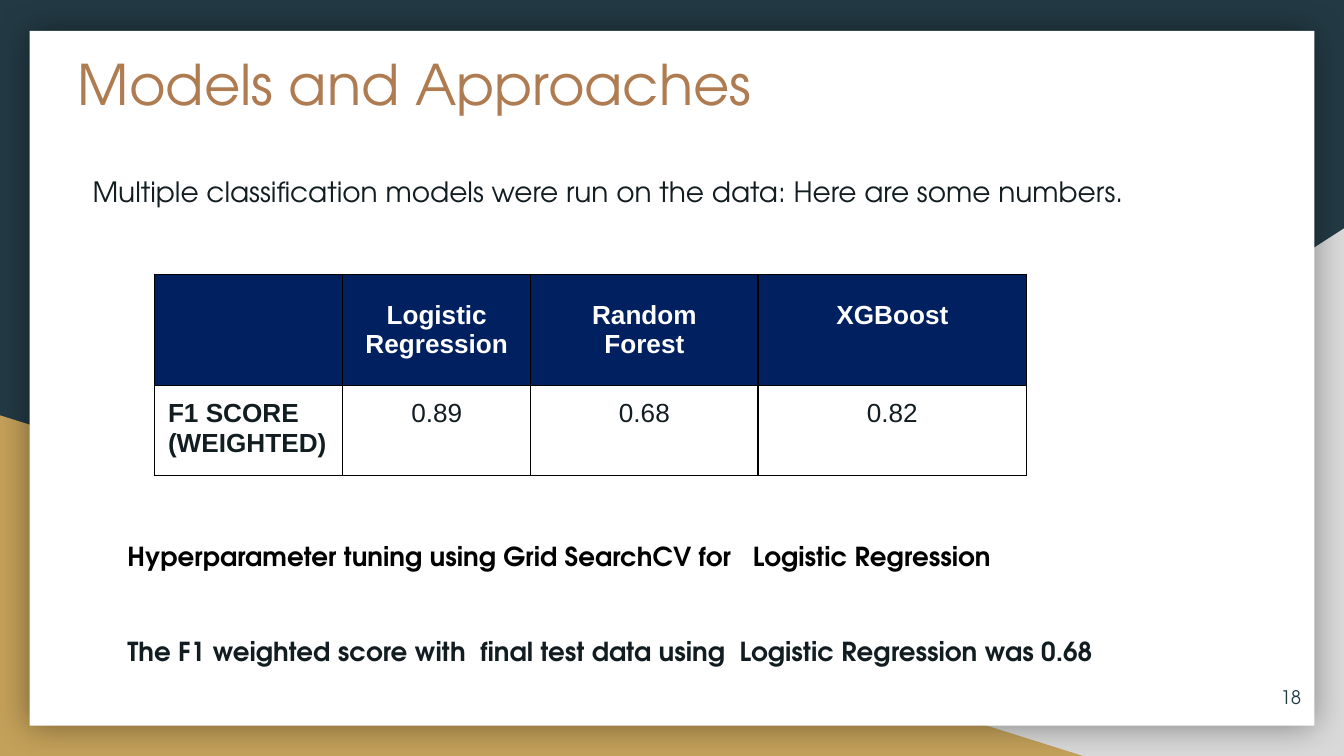
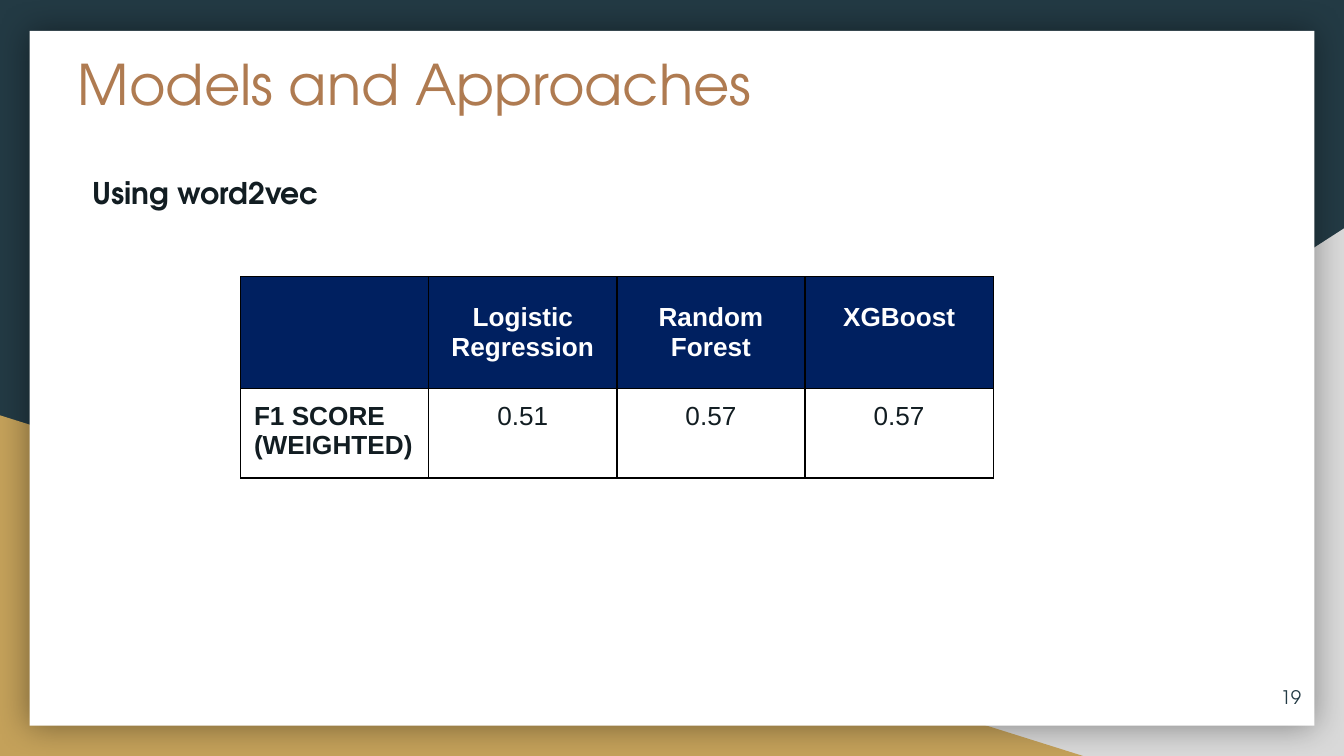
from lxml.etree import SubElement
from pptx import Presentation
from pptx.dml.color import RGBColor
from pptx.enum.shapes import MSO_SHAPE
from pptx.enum.text import MSO_ANCHOR, PP_ALIGN
from pptx.oxml.ns import qn
from pptx.util import Inches, Pt

COLORS = {
    "navy": "233A44", "grey": "D9D9D9", "gold": "C4A15A", "white": "FFFFFF",
    "copper": "AF7B51", "ink": "121D22", "header": "002060", "black": "000000",
}
DISPLAY, TABLE_FONT = "TeX Gyre Adventor", "Arial"
TITLE = "Models and Approaches"
MODELS = [["Logistic", "Regression"], ["Random", "Forest"], ["XGBoost"]]
SCORE_LABEL = ["F1 SCORE", "(WEIGHTED)"]
ROW_HEIGHTS = [0.83, 0.65]
HEADER_LINES, LINE_HEIGHT, INSET = 2, 0.22, 0.1
WIDTH = 10
HEIGHT = WIDTH * 9 / 16

SLIDES = [
    {
        "number": "18",
        "lead": "Multiple classification models were run on the data: Here are some numbers.",
        "lead_size": 15, "lead_bold": False,
        "scores": ["0.89", "0.68", "0.82"],
        "table_at": (1.15, 2.04), "columns": [1.4, 1.4, 1.69, 2],
        "findings": [
            ("Hyperparameter tuning using Grid SearchCV for   Logistic Regression", "black"),
            ("The F1 weighted score with  final test data using  Logistic Regression was 0.68", "ink"),
        ],
    },
    {
        "number": "19",
        "lead": "Using word2vec",
        "lead_size": 16, "lead_bold": True,
        "scores": ["0.51", "0.57", "0.57"],
        "table_at": (1.79, 2.06), "columns": [1.4] * 4,
        "findings": [],
    },
]


def rgb(name):
    return RGBColor.from_string(COLORS[name])


def style(paragraph, size, color, bold=False, font=DISPLAY, align=PP_ALIGN.LEFT):
    paragraph.alignment = align
    paragraph.font.name = font
    paragraph.font.size = Pt(size)
    paragraph.font.bold = bold
    paragraph.font.color.rgb = rgb(color)


def add_panel(slide, preset, box, color):
    panel = slide.shapes.add_shape(preset, *map(Inches, box))
    panel.shadow.inherit = False
    panel.fill.solid()
    panel.fill.fore_color.rgb = rgb(color)
    panel.line.fill.background()
    return panel


def add_glow(panel):
    effects = panel._element.spPr.find(qn("a:effectLst"))
    shadow = SubElement(effects, qn("a:outerShdw"), blurRad=str(Pt(18)), dist="0",
                        dir="0", algn="ctr", rotWithShape="0")
    tint = SubElement(shadow, qn("a:srgbClr"), val=COLORS["black"])
    SubElement(tint, qn("a:alpha"), val="40000")


def add_text(slide, box, lines, anchor=MSO_ANCHOR.TOP):
    frame = slide.shapes.add_textbox(*map(Inches, box)).text_frame
    frame.word_wrap = True
    frame.vertical_anchor = anchor
    frame.margin_left = frame.margin_right = Inches(INSET)
    frame.margin_top = frame.margin_bottom = Inches(INSET)
    frame.text = "\n".join(lines)
    return frame.paragraphs


def add_frame(slide, number):
    slide.background.fill.solid()
    slide.background.fill.fore_color.rgb = rgb("navy")
    corner = add_panel(slide, MSO_SHAPE.RIGHT_TRIANGLE, (3.92, 1.7, 6.08, HEIGHT - 1.7), "grey")
    corner._element.spPr.xfrm.set("flipH", "1")
    add_panel(slide, MSO_SHAPE.RIGHT_TRIANGLE, (0, 3.09, 8.06, HEIGHT - 3.09), "gold")
    add_glow(add_panel(slide, MSO_SHAPE.RECTANGLE, (0.22, 0.23, 9.56, 5.17), "white"))
    title, = add_text(slide, (0.48, 0.27, 8.21, 0.71), [TITLE])
    style(title, 30, "copper")
    page, = add_text(slide, (9.18, 4.97, 0.6, 0.43), [number], MSO_ANCHOR.MIDDLE)
    style(page, 10, "navy", align=PP_ALIGN.RIGHT)


def add_borders(cell):
    properties = cell._tc.get_or_add_tcPr()
    for side in ("lnL", "lnR", "lnT", "lnB"):
        line = SubElement(properties, qn("a:" + side), w=str(Pt(0.75)))
        fill = SubElement(line, qn("a:solidFill"))
        SubElement(fill, qn("a:srgbClr"), val=COLORS["black"])


def fill_cell(cell, lines, is_header, is_label):
    cell.margin_left = cell.margin_right = Inches(INSET)
    cell.margin_top = cell.margin_bottom = Inches(INSET)
    add_borders(cell)
    if is_header:
        cell.fill.solid()
        cell.fill.fore_color.rgb = rgb("header")
        cell.vertical_anchor = MSO_ANCHOR.MIDDLE
        missing = HEADER_LINES - len(lines) if lines else 0
        cell.margin_bottom = Inches(INSET + missing * LINE_HEIGHT)
    else:
        cell.fill.background()
    cell.text = "\n".join(lines)
    for paragraph in cell.text_frame.paragraphs:
        style(paragraph, 14, "white" if is_header else "ink", is_header or is_label,
              TABLE_FONT, PP_ALIGN.LEFT if is_label else PP_ALIGN.CENTER)


def add_scores(slide, scores, position, columns):
    rows = [[[]] + MODELS, [SCORE_LABEL] + [[score] for score in scores]]
    size = (sum(columns), sum(ROW_HEIGHTS))
    table = slide.shapes.add_table(len(rows), len(columns), *map(Inches, position + size)).table
    table.horz_banding = False
    for column, width in zip(table.columns, columns):
        column.width = Inches(width)
    for row, height in zip(table.rows, ROW_HEIGHTS):
        row.height = Inches(height)
    for r, row in enumerate(rows):
        for c, lines in enumerate(row):
            fill_cell(table.cell(r, c), lines, r == 0, c == 0)


deck = Presentation()
deck.slide_width, deck.slide_height = Inches(WIDTH), Inches(HEIGHT)

for content in SLIDES:
    slide = deck.slides.add_slide(deck.slide_layouts[6])
    add_frame(slide, content["number"])
    lead, = add_text(slide, (0.59, 1.16, 8.52, 0.74), [content["lead"]])
    style(lead, content["lead_size"], "ink", content["lead_bold"])
    lead.line_spacing = 1.15
    lead.space_before = Pt(16)
    add_scores(slide, content["scores"], content["table_at"], content["columns"])
    if content["findings"]:
        texts, colors = zip(*content["findings"])
        findings = add_text(slide, (0.85, 3.92, 8.26, 1.05), texts)
        for paragraph, color in zip(findings, colors):
            style(paragraph, 14, color, bold=True)
        for paragraph in findings[1:]:
            paragraph.space_before = Pt(34)

deck.save("out.pptx")
